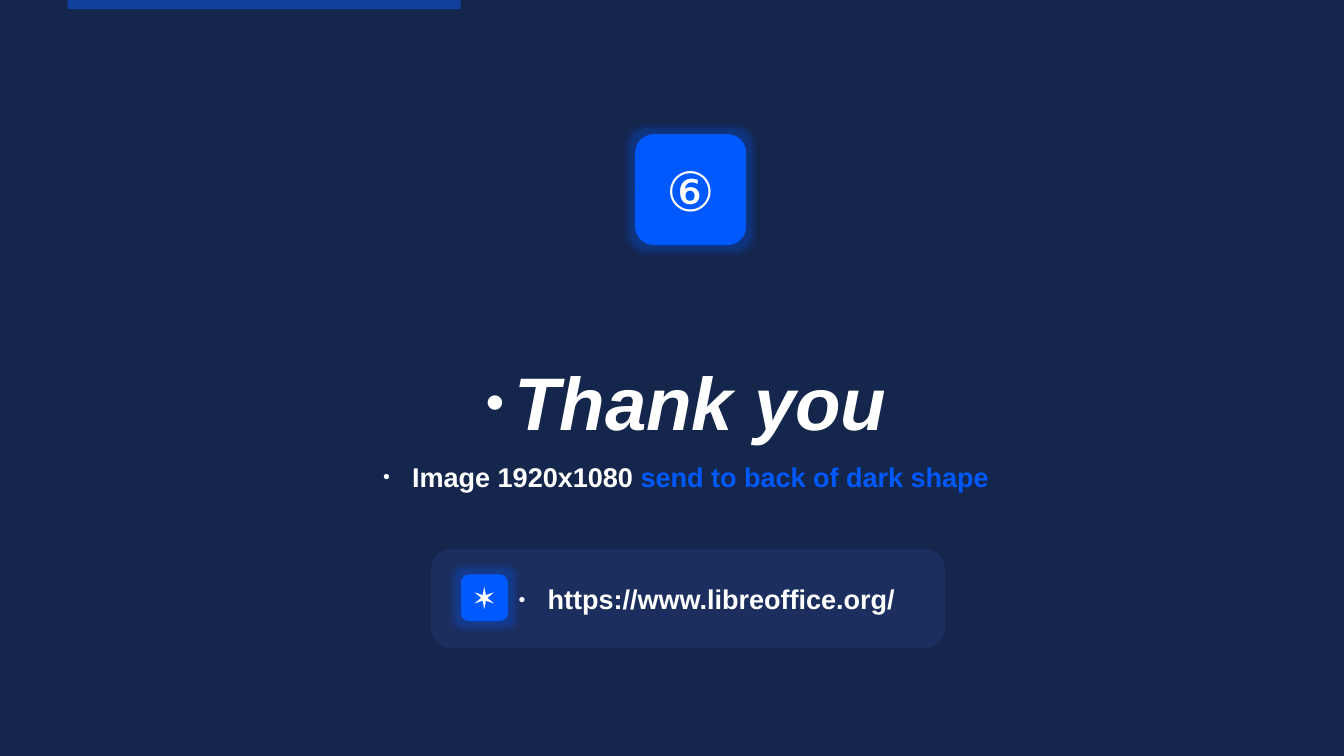
from lxml import etree
from pptx import Presentation
from pptx import util as u
from pptx.dml.color import RGBColor
from pptx.enum import shapes, text
from pptx.oxml import ns

WHITE = RGBColor(0xFF, 0xFF, 0xFF)
NIGHT = RGBColor(0x0C, 0x1A, 0x33)
NAVY = RGBColor(0x1C, 0x2E, 0x5D)
BLUE = RGBColor(0x00, 0x59, 0xFF)

WIDTH, HEIGHT = 793.44, 446.4
INDENT = 17.28


def add_xml(parent, tag, **attributes):
    return etree.SubElement(parent, ns.qn(tag), attributes)


class ClosingSlide:
    """Holds the style and the slide; all lengths are in points."""

    text_font, symbol_font = "Arial", "Roboto"

    def __init__(self, slide):
        self.slide = slide
        slide.background.fill.solid()
        slide.background.fill.fore_color.rgb = NIGHT

    def panel(self, left, top, width, height, color, radius=0, opacity=100):
        kind = shapes.MSO_SHAPE.ROUNDED_RECTANGLE if radius else shapes.MSO_SHAPE.RECTANGLE
        panel = self.slide.shapes.add_shape(
            kind, u.Pt(left), u.Pt(top), u.Pt(width), u.Pt(height))
        panel.shadow.inherit = False
        panel.fill.solid()
        panel.fill.fore_color.rgb = color
        panel.line.fill.background()
        if radius:
            panel.adjustments[0] = radius
        if opacity < 100:
            tint = panel.fill._xPr.find(".//" + ns.qn("a:srgbClr"))
            add_xml(tint, "a:alpha", val=str(opacity * 1000))
        return panel

    def badge(self, symbol, left, top, side, size):
        badge = self.panel(left, top, side, side, BLUE, radius=0.167)
        effects = badge._element.spPr.find(ns.qn("a:effectLst"))
        glow = add_xml(effects, "a:glow", rad=str(u.Pt(8)))
        tint = add_xml(glow, "a:srgbClr", val=str(BLUE))
        add_xml(tint, "a:alpha", val="30000")
        frame = badge.text_frame
        frame.word_wrap = False
        frame.vertical_anchor = text.MSO_ANCHOR.MIDDLE
        paragraph = frame.paragraphs[0]
        paragraph.text = symbol
        paragraph.alignment = text.PP_ALIGN.CENTER
        self.style(paragraph, size, self.symbol_font)

    def style(self, paragraph, size, name, bold=False, italic=False):
        font = paragraph.font
        font.name, font.size = name, u.Pt(size)
        font.bold, font.italic = bold, italic
        font.color.rgb = WHITE

    def bullet_line(self, holder, box, parts, size, align, anchor,
                    spacing=1.0, italic=False):
        """Write (wording, colour) parts as one bulleted line."""
        holder.left, holder.top, holder.width, holder.height = map(u.Pt, box)
        frame = holder.text_frame
        frame.word_wrap = True
        frame.auto_size = text.MSO_AUTO_SIZE.NONE
        frame.vertical_anchor = anchor
        frame.margin_left = frame.margin_right = 0
        frame.margin_top = frame.margin_bottom = 0
        paragraph = frame.paragraphs[0]
        paragraph.alignment = align
        paragraph.line_spacing = spacing
        paragraph.space_before = u.Pt(0)
        properties = paragraph._p.get_or_add_pPr()
        properties.set("marL", str(u.Pt(INDENT)))
        properties.set("indent", str(-u.Pt(INDENT)))
        add_xml(add_xml(properties, "a:buClr"), "a:srgbClr", val=str(WHITE))
        add_xml(properties, "a:buSzPct", val="45000")
        add_xml(properties, "a:buFont", typeface=self.text_font)
        add_xml(properties, "a:buChar", char="●")
        self.style(paragraph, size, self.text_font, bold=True, italic=italic)
        for wording, color in parts:
            run = paragraph.add_run()
            run.text = wording
            if color != WHITE:
                run.font.color.rgb = color

    def text_box(self):
        return self.slide.shapes.add_textbox(0, 0, 0, 0)


def main():
    deck = Presentation()
    deck.slide_width, deck.slide_height = u.Pt(WIDTH), u.Pt(HEIGHT)
    closing = ClosingSlide(deck.slides.add_slide(deck.slide_layouts[1]))
    title, subtitle = closing.slide.placeholders
    center, bottom = text.PP_ALIGN.CENTER, text.MSO_ANCHOR.BOTTOM

    # Top accent under the dark overlay
    closing.panel(40, 0, 232, 5.4, BLUE)
    overlay = closing.panel(0, 0, WIDTH, HEIGHT, NAVY, opacity=60)

    # Thanks and subtitle, in front of the overlay
    closing.bullet_line(title, (90, 168.5, 630, 94.5), [("Thank you", WHITE)],
                        44, center, bottom, spacing=1.5, italic=True)
    closing.bullet_line(subtitle, (90, 263, 630, 28),
                        [("Image 1920x1080 ", WHITE),
                         ("send to back of dark shape", BLUE)],
                        16, center, bottom, spacing=1.5)
    for holder in (title, subtitle):
        overlay._element.getparent().append(holder._element)

    # Emblem
    closing.badge("⑥", 375, 79.2, 65.5, 32)

    # Web address
    closing.panel(254.5, 324, 303.4, 58.8, NAVY, radius=0.208)
    closing.bullet_line(closing.text_box(), (306, 327, 252, 53.3),
                        [("https://www.libreoffice.org/", WHITE)],
                        16, text.PP_ALIGN.LEFT, text.MSO_ANCHOR.MIDDLE)
    closing.badge("✶", 272.2, 339.2, 27.6, 18)

    deck.save("out.pptx")


if __name__ == "__main__":
    main()
